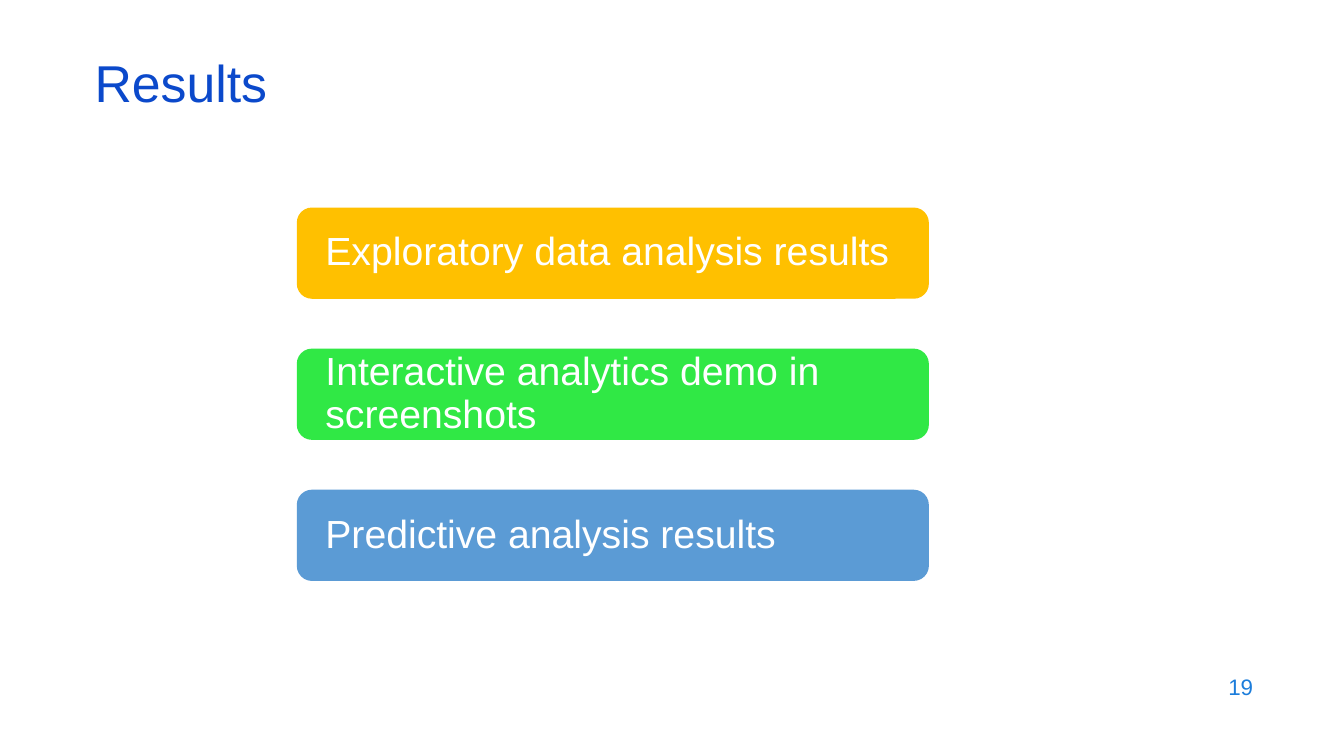
from pptx import Presentation
from pptx.dml.color import RGBColor
from pptx.enum.shapes import MSO_SHAPE
from pptx.enum.text import MSO_ANCHOR, MSO_AUTO_SIZE, PP_ALIGN
from pptx.util import Cm, Pt

FONT = "Arial"
COLORS = {
    "title": "0B49CB",
    "number": "1C7DDB",
    "label": "FFFFFF",
    "exploratory": "FFC000",
    "interactive": "30E845",
    "predictive": "5B9BD5",
}
RESULTS = [
    ("Exploratory data analysis results", "exploratory"),
    ("Interactive analytics demo in screenshots", "interactive"),
    ("Predictive analysis results", "predictive"),
]


def place(part, box):
    part.left, part.top, part.width, part.height = map(Cm, box)


def write(frame, wording, size, color, align=PP_ALIGN.LEFT, spacing=1.0):
    frame.word_wrap = True
    frame.auto_size = MSO_AUTO_SIZE.NONE
    frame.vertical_anchor = MSO_ANCHOR.MIDDLE
    paragraph = frame.paragraphs[0]
    paragraph.alignment = align
    paragraph.line_spacing = spacing
    run = paragraph.add_run()
    run.text = wording
    run.font.name = FONT
    run.font.size = Pt(size)
    run.font.color.rgb = RGBColor.from_string(COLORS[color])


def add_heading(slide, box):
    heading = slide.shapes.title
    place(heading, box)
    write(heading.text_frame, "Results", 37, "title", spacing=0.7)


def add_result_cards(slide, box, card_height):
    left, top, width, height = box
    pitch = (height - card_height) / (len(RESULTS) - 1)
    for row, (label, color) in enumerate(RESULTS):
        card = slide.shapes.add_shape(
            MSO_SHAPE.ROUNDED_RECTANGLE,
            Cm(left), Cm(top + row * pitch), Cm(width), Cm(card_height),
        )
        card.shadow.inherit = False
        card.fill.solid()
        card.fill.fore_color.rgb = RGBColor.from_string(COLORS[color])
        card.line.fill.background()
        frame = card.text_frame
        frame.margin_left = frame.margin_right = Cm(0.61)
        frame.margin_top = frame.margin_bottom = 0
        write(frame, label, 28, "label", spacing=0.9)


def add_page_number(slide, box):
    page_number = slide.shapes.add_textbox(*map(Cm, box))
    write(page_number.text_frame, "19", 16, "number", PP_ALIGN.RIGHT)


def main():
    deck = Presentation()
    deck.slide_width, deck.slide_height = Cm(33.87), Cm(19.05)
    slide = deck.slides.add_slide(deck.slide_layouts[5])
    add_heading(slide, (2.13, 1.5, 29.21, 1.52))
    add_result_cards(slide, (7.48, 5.23, 15.93, 9.41), 2.3)
    add_page_number(slide, (24.21, 16.74, 7.62, 1.12))
    deck.save("out.pptx")


if __name__ == "__main__":
    main()
